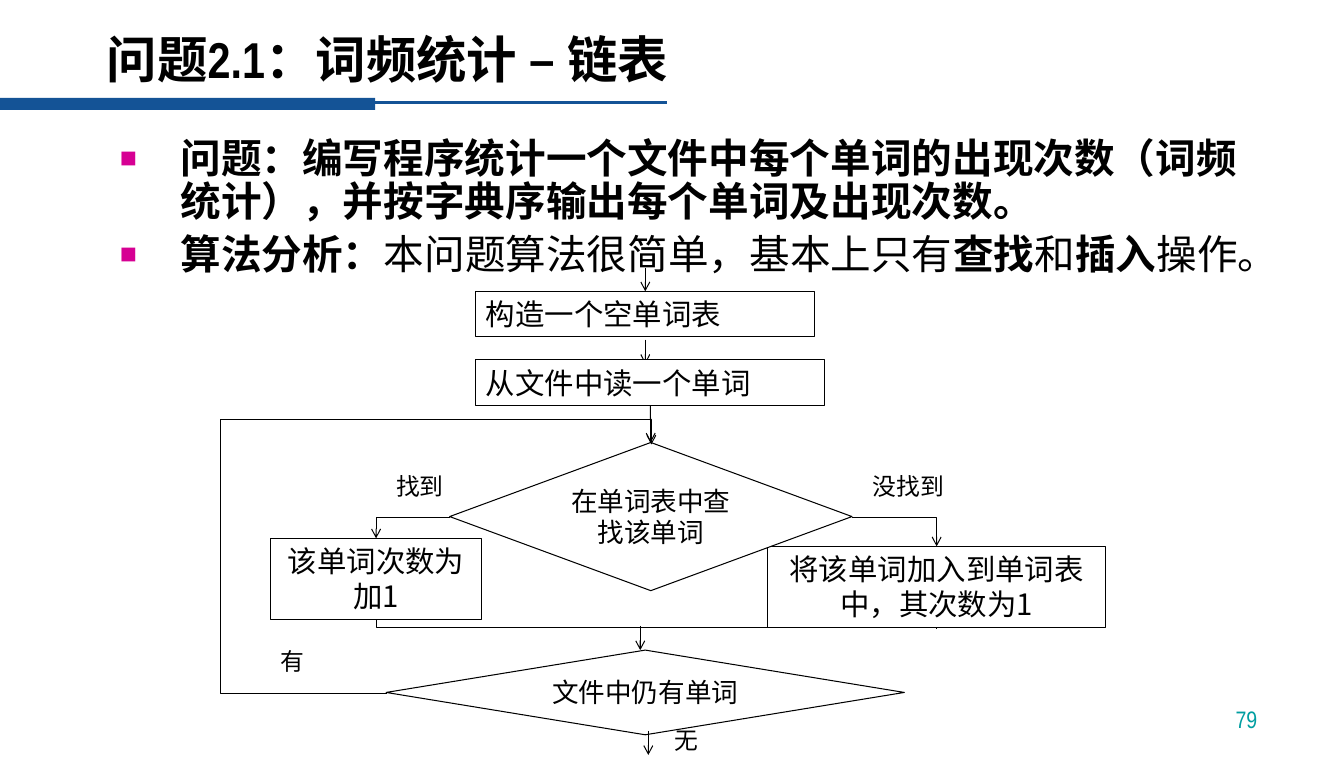
from lxml.etree import SubElement
from pptx import Presentation
from pptx.dml.color import RGBColor
from pptx.enum.shapes import MSO_CONNECTOR as Connector, MSO_SHAPE as Shape
from pptx.enum.text import MSO_ANCHOR as Anchor, MSO_AUTO_SIZE as AutoSize, PP_ALIGN as Align
from pptx.oxml.ns import qn
from pptx.util import Inches, Pt


def color(value):
    return RGBColor.from_string(value)


def add_element(parent, tag, **attributes):
    return SubElement(parent, qn(tag), **attributes)


class FlowSlide:
    heading_font = "Arial Narrow"
    chart_font = "Noto Sans CJK SC"
    black, white, blue = "000000", "FFFFFF", "145396"
    pink, teal = "D60093", "009EA1"

    def __init__(self, presentation):
        self.slide = presentation.slides.add_slide(presentation.slide_layouts[1])
        self.shapes = self.slide.shapes

    def style_run(self, run, size, font_name, bold=False, fill=black):
        font = run.font
        font.name, font.size, font.bold = font_name, Pt(size), bold
        font.color.rgb = color(fill)
        add_element(run._r.get_or_add_rPr(), "a:ea", typeface=self.chart_font)

    def place(self, shape, left, top, width, height, anchor):
        shape.left, shape.top = Inches(left), Inches(top)
        shape.width, shape.height = Inches(width), Inches(height)
        frame = shape.text_frame
        frame.word_wrap, frame.auto_size = True, AutoSize.NONE
        frame.vertical_anchor = anchor
        frame.margin_left = frame.margin_right = Inches(0.12)
        frame.margin_top = frame.margin_bottom = Inches(0.06)
        return frame

    def title(self, text, *box):
        frame = self.place(self.shapes.title, *box, Anchor.MIDDLE)
        frame.text = text
        paragraph = frame.paragraphs[0]
        paragraph.alignment, paragraph.line_spacing = Align.LEFT, 0.8
        self.style_run(paragraph.runs[0], 36, self.heading_font, True)

    def bullets(self, items, *box):
        frame = self.place(self.slide.placeholders[1], *box, Anchor.TOP)
        for index, parts in enumerate(items):
            paragraph = frame.add_paragraph() if index else frame.paragraphs[0]
            properties = paragraph._p.get_or_add_pPr()
            properties.set("marL", str(Inches(0.6)))
            properties.set("indent", str(-Inches(0.6)))
            bullet_color = add_element(properties, "a:buClr")
            add_element(bullet_color, "a:srgbClr", val=self.pink)
            add_element(properties, "a:buSzPct", val="70000")
            add_element(properties, "a:buChar", char="■")
            paragraph.line_spacing = 0.9
            paragraph.space_before = Pt(6 if index else 0)
            for position, part in enumerate(parts):
                run = paragraph.add_run()
                run.text = part
                self.style_run(run, 29, self.heading_font, position % 2 == 0)

    def page_number(self, text, *box):
        shape = self.shapes.add_textbox(0, 0, 0, 0)
        frame = self.place(shape, *box, Anchor.BOTTOM)
        frame.text = text
        frame.paragraphs[0].alignment = Align.RIGHT
        self.style_run(frame.paragraphs[0].runs[0], 17, self.heading_font, fill=self.teal)

    def bar(self, *box):
        shape = self.shapes.add_shape(Shape.RECTANGLE, *map(Inches, box))
        shape.shadow.inherit = False
        shape.fill.solid()
        shape.fill.fore_color.rgb = color(self.blue)
        shape.line.fill.background()

    def node(self, kind, text, *box, size=21, align=Align.CENTER):
        shape = self.shapes.add_shape(kind, *map(Inches, box))
        shape.shadow.inherit = False
        shape.fill.solid()
        shape.fill.fore_color.rgb = color(self.white)
        shape.line.color.rgb = color(self.black)
        shape.line.width = Pt(0.75)
        frame = shape.text_frame
        frame.text = text
        frame.vertical_anchor = Anchor.TOP
        frame.paragraphs[0].alignment = align
        self.style_run(frame.paragraphs[0].runs[0], size, self.chart_font)
        return shape

    def label(self, text, *box):
        frame = self.shapes.add_textbox(*map(Inches, box)).text_frame
        frame.text = text
        frame.word_wrap = False
        self.style_run(frame.paragraphs[0].runs[0], 17, self.chart_font)

    def line(self, *ends, kind=Connector.STRAIGHT, arrow=True, fill=black, width=0.75):
        connector = self.shapes.add_connector(kind, *map(Inches, ends))
        connector.line.color.rgb = color(fill)
        connector.line.width = Pt(width)
        if arrow:
            add_element(connector.line._get_or_add_ln(), "a:tailEnd", type="arrow")
        add_element(connector._element.spPr, "a:effectLst")
        return connector

    def elbow(self, left, top, width, height, bends, rotation=0, flip=None,
              adjustments=(), arrow=True):
        connector = self.line(left, top, left + width, top + height,
                              kind=Connector.ELBOW, arrow=arrow)
        properties = connector._element.spPr
        transform = properties.find(qn("a:xfrm"))
        transform.set("rot", str(rotation * 60000))
        if flip:
            transform.set(flip, "1")
        geometry = properties.find(qn("a:prstGeom"))
        geometry.set("prst", f"bentConnector{bends}")
        guides = geometry.find(qn("a:avLst"))
        for number, value in enumerate(adjustments, 1):
            name = f"adj{number}" if len(adjustments) > 1 else "adj1"
            add_element(guides, "a:gd", name=name, fmla=f"val {round(value * 100000)}")


def main():
    presentation = Presentation()
    presentation.slide_width, presentation.slide_height = Inches(13.33), Inches(7.52)
    flow = FlowSlide(presentation)

    flow.bar(0, 0.97, 3.72, 0.12)
    flow.line(3.68, 1.02, 6.62, 1.02, arrow=False, fill=flow.blue, width=2.25)
    flow.title("问题2.1：词频统计 – 链表", 0.94, 0.17, 11.94, 0.92)
    flow.page_number("79", 9.81, 6.83, 2.78, 0.5)
    flow.bullets([
        ["问题：编写程序统计一个文件中每个单词的出现次数（词频统计），并按字典序输出每个单词及出现次数。"],
        ["算法分析：", "本问题算法很简单，基本上只有", "查找", "和", "插入", "操作。"],
    ], 1.07, 1.31, 11.42, 1.54)

    box, decision = Shape.RECTANGLE, Shape.FLOWCHART_DECISION
    create = flow.node(box, "构造一个空单词表", 4.72, 2.89, 3.36, 0.45, align=Align.LEFT)
    flow.node(box, "将该单词加入到单词表中，其次数为1", 7.61, 5.42, 3.36, 0.81)
    flow.node(decision, "文件中仍有单词", 3.83, 6.45, 5.14, 0.84, size=19)

    flow.line(6.4, 2.66, 6.4, 2.89).end_connect(create, 0)
    for x, top in [(6.4, 3.37), (6.35, 6.21), (6.43, 7.25)]:
        flow.line(x, top, x, top + 0.24)
    flow.elbow(8.45, 5.13, 0.84, 0.29, 2)
    flow.elbow(3.73, 5.13, 0.73, 0.21, 2, 180, "flipV")
    flow.elbow(6.47, 3.41, 0.08, 5.56, 3, 270, "flipH", [0.97], arrow=False)

    for text, left, top, width in [("找到", 3.83, 4.63, 0.68), ("没找到", 8.56, 4.63, 0.92),
                                   ("有", 2.68, 6.37, 0.44), ("无", 6.59, 7.15, 0.44)]:
        flow.label(text, left, top, width, 0.39)

    flow.node(box, "该单词次数为加1", 2.68, 5.34, 2.1, 0.81)
    search = flow.node(decision, "在单词表中查找该单词", 4.46, 4.39, 3.99, 1.47, size=19)
    read = flow.node(box, "从文件中读一个单词", 4.72, 3.57, 3.46, 0.45, align=Align.LEFT)
    step = flow.line(6.45, 4.02, 6.46, 4.39)
    step.begin_connect(read, 2)
    step.end_connect(search, 0)
    flow.elbow(3.84, 4.41, 2.62, 2.47, 4, 180, "flipH", [-0.63, 1.1])

    presentation.save("out.pptx")


if __name__ == "__main__":
    main()
